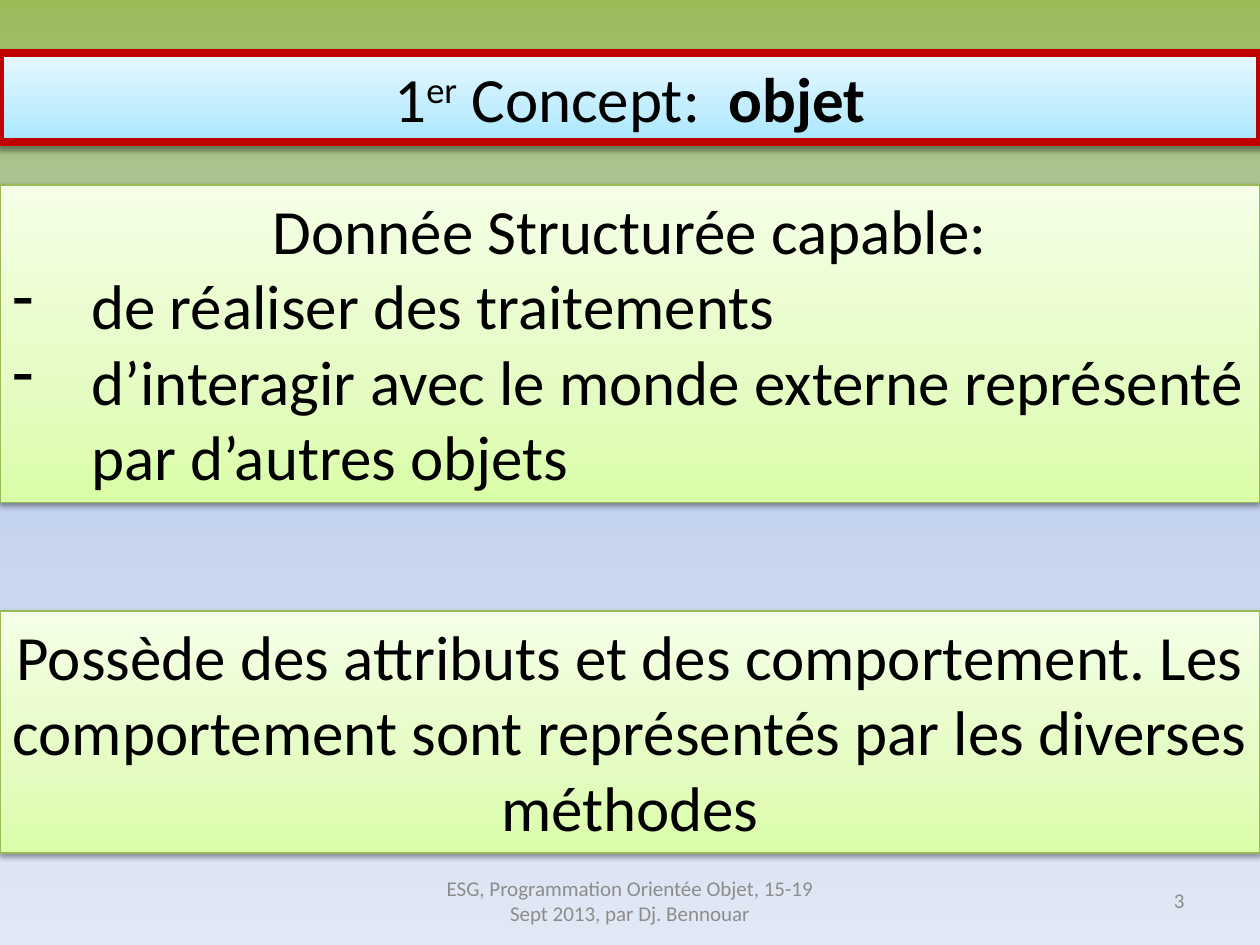
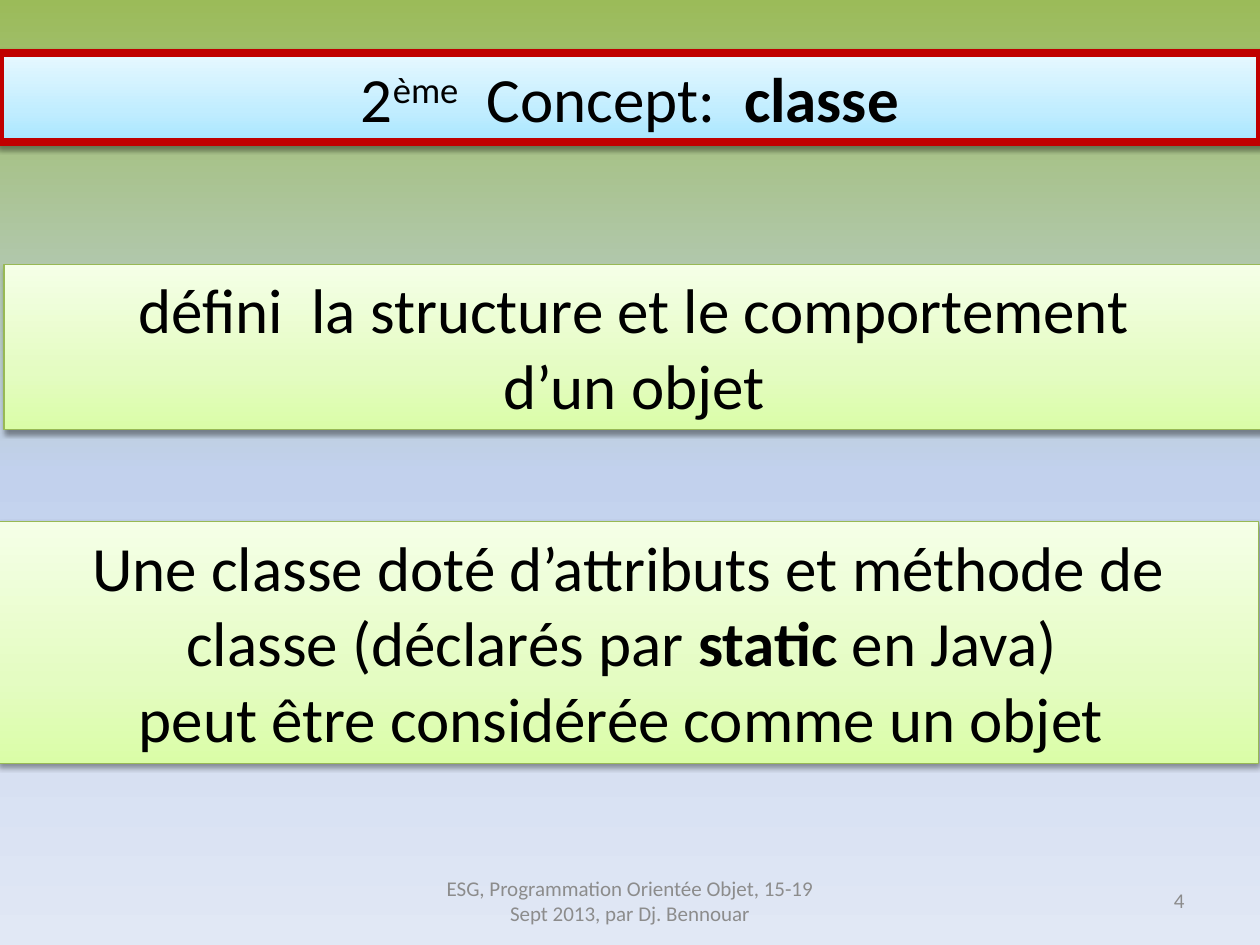
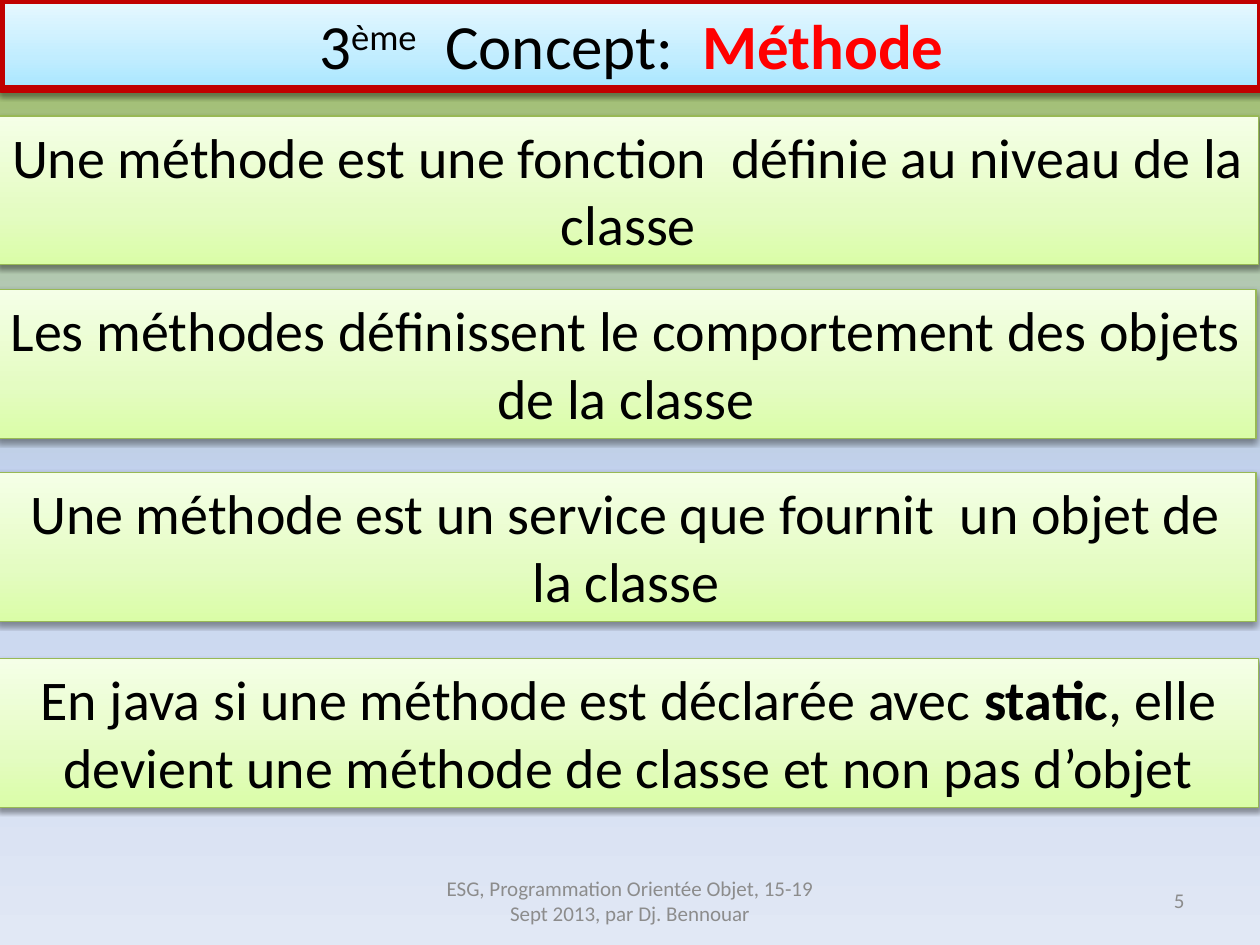
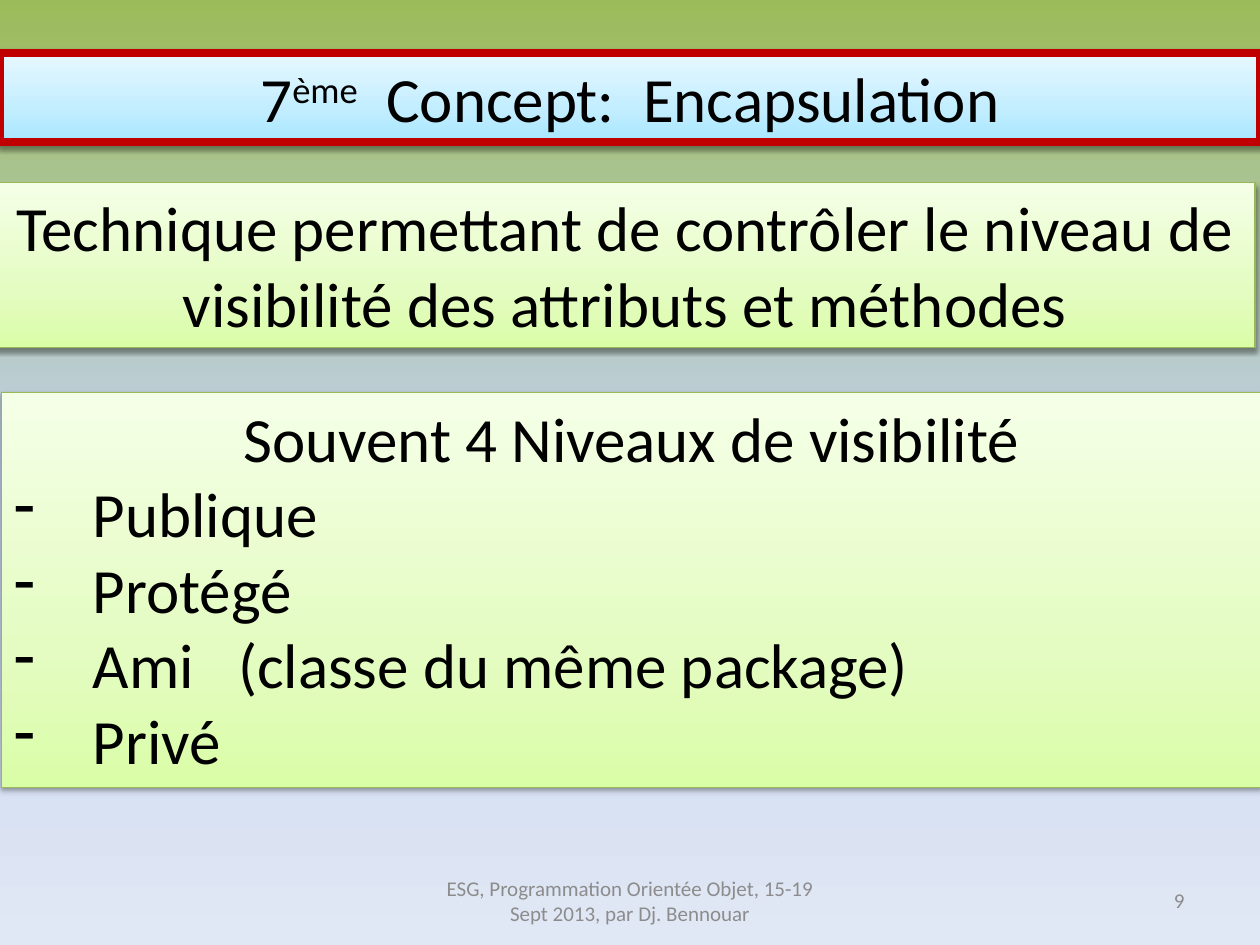
"""Build four slides on the concepts of object-oriented programming."""
from lxml.etree import SubElement
from pptx import Presentation
from pptx.dml.color import RGBColor
from pptx.enum.shapes import MSO_SHAPE
from pptx.enum.text import MSO_ANCHOR, MSO_AUTO_SIZE, PP_ALIGN
from pptx.oxml.ns import qn
from pptx.util import Cm, Pt

BLACK = RGBColor(0x00, 0x00, 0x00)
RED = RGBColor(0xFF, 0x00, 0x00)
GREY = RGBColor(0x8C, 0x8C, 0x8C)
TITLE_BORDER = RGBColor(0xC0, 0x00, 0x00)
PANEL_BORDER = RGBColor(0x98, 0xB9, 0x55)
BACKDROP = [(0, RGBColor(0x9B, 0xBB, 0x59)), (50, RGBColor(0xC2, 0xD1, 0xED)),
            (100, RGBColor(0xE1, 0xE8, 0xF5))]
TITLE_BLUE = [(0, RGBColor(0xA7, 0xE6, 0xFF)), (35, RGBColor(0xC1, 0xED, 0xFF)),
              (100, RGBColor(0xE7, 0xF8, 0xFF))]
PANEL_GREEN = [(0, RGBColor(0xDA, 0xFD, 0xA7)), (35, RGBColor(0xE4, 0xFC, 0xC2)),
               (100, RGBColor(0xF5, 0xFF, 0xE7))]

WIDTH, HEIGHT = Cm(25.4), Cm(19.05)
INDENT = Cm(1.59)
FOOTER = "ESG, Programmation Orientée Objet, 15-19 Sept 2013, par Dj. Bennouar"
RAISED = {"raised": True}
BOLD = {"bold": True}
BOLD_RED = {"bold": True, "color": RED}


def blend(fill, element, stops, angle):
    """Give a fill its gradient stops, with the angle in clockwise degrees."""
    fill.gradient()
    gradient = next(element.iter(qn("a:gradFill")))
    stop_list = gradient.find(qn("a:gsLst"))
    for old_stop in list(stop_list):
        stop_list.remove(old_stop)
    for position, color in stops:
        stop = SubElement(stop_list, qn("a:gs"), pos=str(position * 1000))
        SubElement(stop, qn("a:srgbClr"), val=str(color))
    gradient.find(qn("a:lin")).set("ang", str(angle * 60000))


def write(paragraph, text, size=36, color=BLACK, bold=False, raised=False):
    """Add a run of formatted text to a paragraph."""
    run = paragraph.add_run()
    run.text = text
    run.font.name = "Calibri"
    run.font.size = Pt(size)
    run.font.color.rgb = color
    run.font.bold = bold
    if raised:
        run._r.get_or_add_rPr().set("baseline", "30000")


CONCEPTS = [
    {"number": 3, "title_at": (0, 1.07),
     "title": ["1", ("er", RAISED), " Concept:  ", ("objet", BOLD)],
     "size": 36,
     "panels": [
         (0, 3.73, 6.4, [
             ["Donnée Structurée capable:"],
             ["- de réaliser des traitements"],
             ["- d’interagir avec le monde externe représenté par d’autres objets"]]),
         (0, 12.32, 4.88, [
             ["Possède des attributs et des comportement. Les comportement "
              "sont représentés par les diverses méthodes"]])]},
    {"number": 4, "title_at": (0, 1.07),
     "title": ["2", ("ème", RAISED), "  Concept:  ", ("classe", BOLD)],
     "size": 36,
     "panels": [
         (0.08, 5.33, 3.33, [
             ["défini  la structure et le comportement"],
             ["d’un objet"]]),
         (-0.03, 10.52, 4.88, [
             ["Une classe doté d’attributs et méthode de classe (déclarés par ",
              ("static ", BOLD), "en Java) "],
             ["peut être considérée comme un objet "]])]},
    {"number": 5, "title_at": (0.03, 0),
     "title": ["3", ("ème", RAISED), "  Concept:  ", ("Méthode", BOLD_RED)],
     "size": 32,
     "panels": [
         (-0.03, 2.34, 3, [
             ["Une méthode est une fonction  définie au niveau de la classe"]]),
         (-0.08, 5.84, 3, [
             ["Les méthodes définissent le comportement des objets de la classe"]]),
         (-0.08, 9.53, 3, [
             ["Une méthode est un service que fournit  un objet de la classe"]]),
         (-0.03, 13.28, 3, [
             ["En java si une méthode est déclarée avec ", ("static", BOLD),
              ", elle devient une méthode de classe et non pas d’objet"]])]},
    {"number": 9, "title_at": (0, 1.07),
     "title": ["7", ("ème", RAISED), "  Concept:  Encapsulation"],
     "size": 36,
     "panels": [
         (-0.1, 3.68, 3.33, [
             ["Technique permettant de contrôler le niveau de visibilité "
              "des attributs et méthodes"]]),
         (0.03, 7.92, 7.95, [
             ["Souvent 4 Niveaux de visibilité"],
             ["- Publique"],
             ["- Protégé"],
             ["- Ami\t(classe du même package)"],
             ["- Privé"]])]},
]

deck = Presentation()
deck.slide_width, deck.slide_height = WIDTH, HEIGHT

for concept in CONCEPTS:
    slide = deck.slides.add_slide(deck.slide_layouts[6])
    blend(slide.background.fill, slide.element, BACKDROP, 90)

    for text, left, width, align in (
            (FOOTER, 8.68, 8.04, PP_ALIGN.CENTER),
            (str(concept["number"]), 18.2, 5.93, PP_ALIGN.RIGHT)):
        footer = slide.shapes.add_textbox(Cm(left), Cm(17.65), Cm(width), Cm(1.01))
        footer.text_frame.word_wrap = True
        footer.text_frame.vertical_anchor = MSO_ANCHOR.MIDDLE
        line = footer.text_frame.paragraphs[0]
        line.alignment = align
        write(line, text, size=12, color=GREY)

    title = (*concept["title_at"], 1.8, [concept["title"]])
    bands = [(title, TITLE_BLUE, TITLE_BORDER, 4.5, 36)]
    bands += [(panel, PANEL_GREEN, PANEL_BORDER, 0.75, concept["size"])
              for panel in concept["panels"]]

    for (left, top, height, paragraphs), stops, border, weight, size in bands:
        band = slide.shapes.add_shape(
            MSO_SHAPE.RECTANGLE, Cm(left), Cm(top), WIDTH, Cm(height))
        blend(band.fill, band.element, stops, 270)
        band.line.color.rgb = border
        band.line.width = Pt(weight)
        band.shadow.inherit = False
        shadow = SubElement(
            next(band.element.iter(qn("a:effectLst"))), qn("a:outerShdw"),
            blurRad=str(Pt(3.1)), dist=str(Pt(1.6)), dir="5400000", rotWithShape="0")
        shade = SubElement(shadow, qn("a:srgbClr"), val=str(BLACK))
        SubElement(shade, qn("a:alpha"), val="38000")

        frame = band.text_frame
        frame.word_wrap = True
        frame.auto_size = MSO_AUTO_SIZE.SHAPE_TO_FIT_TEXT
        frame.vertical_anchor = MSO_ANCHOR.TOP
        for index, parts in enumerate(paragraphs):
            line = frame.add_paragraph() if index else frame.paragraphs[0]
            line.alignment = PP_ALIGN.CENTER
            if parts[0].startswith("- "):
                line.alignment = PP_ALIGN.LEFT
                layout = line._p.get_or_add_pPr()
                layout.set("marL", str(INDENT))
                layout.set("indent", str(-INDENT))
                SubElement(layout, qn("a:buChar"), char="-")
                tabs = SubElement(layout, qn("a:tabLst"))
                SubElement(tabs, qn("a:tab"), pos=str(Cm(4.52)), algn="l")
            for part in parts:
                text, style = part if isinstance(part, tuple) else (part, {})
                write(line, text.removeprefix("- "), size=size, **style)

deck.save("out.pptx")
